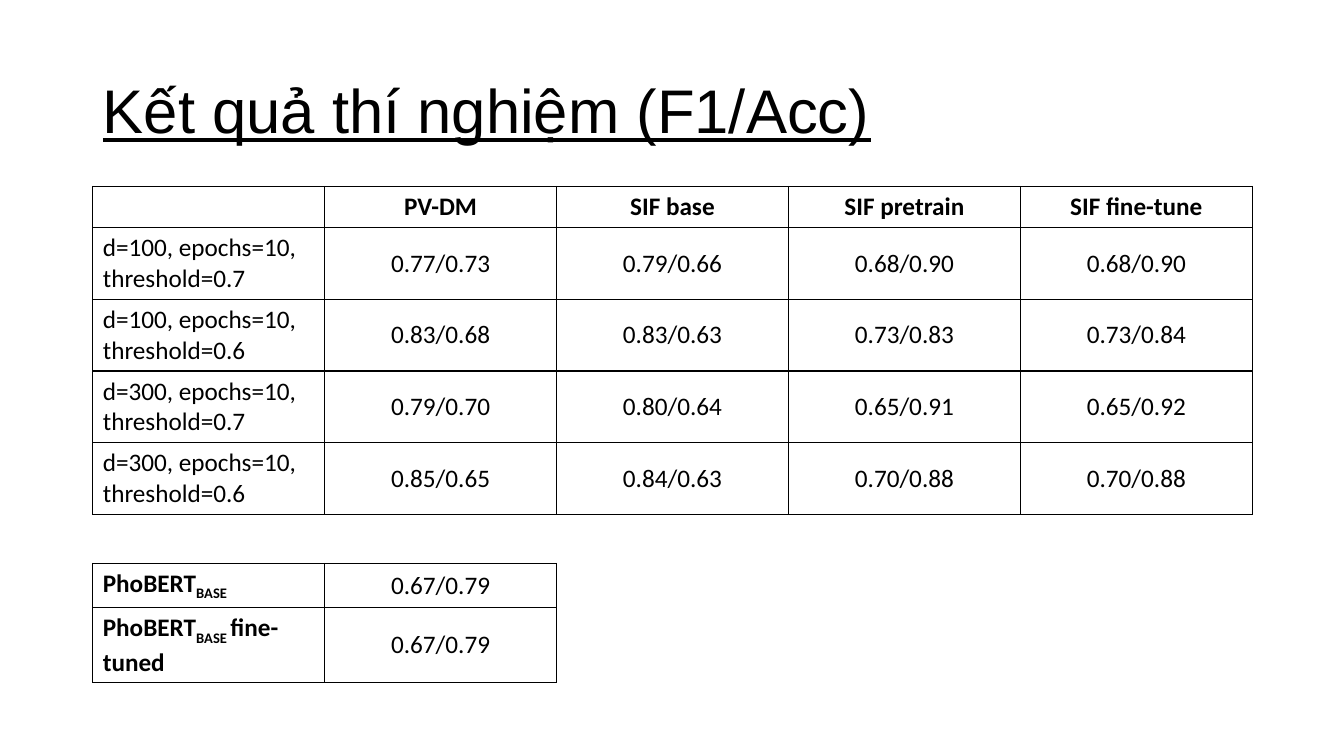
from lxml import etree
from pptx import Presentation
from pptx.dml.color import RGBColor
from pptx.enum.text import MSO_ANCHOR as Anchor, PP_ALIGN as Align
from pptx.oxml.ns import qn
from pptx.util import Inches, Pt

LEFT = 0.92
COLUMN_WIDTH = 2.3
ROW_HEIGHT = 0.41

SIF_RESULTS = [
    ["", "PV-DM", "SIF base", "SIF pretrain", "SIF fine-tune"],
    ["d=100, epochs=10, threshold=0.7", "0.77/0.73", "0.79/0.66", "0.68/0.90", "0.68/0.90"],
    ["d=100, epochs=10, threshold=0.6", "0.83/0.68", "0.83/0.63", "0.73/0.83", "0.73/0.84"],
    ["d=300, epochs=10, threshold=0.7", "0.79/0.70", "0.80/0.64", "0.65/0.91", "0.65/0.92"],
    ["d=300, epochs=10, threshold=0.6", "0.85/0.65", "0.84/0.63", "0.70/0.88", "0.70/0.88"],
]
# Every second part of a tuple is a subscript.
PHOBERT_RESULTS = [
    [("PhoBERT", "BASE"), "0.67/0.79"],
    [("PhoBERT", "BASE ", "fine-tuned"), "0.67/0.79"],
]


def color(hex_string):
    return RGBColor.from_string(hex_string)


class ResultSlide:
    ink = "000000"
    paper = "FFFFFF"
    title_font = "Arial"
    table_font = "Calibri"

    def __init__(self, presentation):
        self.slide = presentation.slides.add_slide(presentation.slide_layouts[5])

    def style(self, paragraph, font_name, size, bold=False):
        font = paragraph.font
        font.name, font.size, font.bold = font_name, Pt(size), bold
        font.color.rgb = color(self.ink)

    def add_title(self, text):
        title = self.slide.shapes.title
        title.left, title.top = Inches(LEFT), Inches(0.4)
        title.width, title.height = Inches(11.5), Inches(1.45)
        title.text_frame.text = text
        title.text_frame.vertical_anchor = Anchor.MIDDLE
        heading = title.text_frame.paragraphs[0]
        heading.alignment = Align.LEFT
        heading.line_spacing = 0.9
        self.style(heading, self.title_font, 44)
        heading.font.underline = True

    def add_results(self, rows, top, is_bold):
        """Draw a bordered table; is_bold(row, column) picks the bold cells."""
        column_count = len(rows[0])
        table = self.slide.shapes.add_table(
            len(rows), column_count, Inches(LEFT), Inches(top),
            Inches(COLUMN_WIDTH * column_count), Inches(ROW_HEIGHT * len(rows)),
        ).table
        table.first_row = table.horz_banding = False
        for row, values in enumerate(rows):
            table.rows[row].height = Inches(ROW_HEIGHT)
            for column, value in enumerate(values):
                cell = table.cell(row, column)
                self.add_borders(cell)
                cell.fill.solid()
                cell.fill.fore_color.rgb = color(self.paper)
                cell.vertical_anchor = Anchor.MIDDLE
                paragraph = cell.text_frame.paragraphs[0]
                paragraph.alignment = Align.CENTER if column else Align.LEFT
                self.style(paragraph, self.table_font, 18, is_bold(row, column))
                self.add_parts(paragraph, value)

    def add_parts(self, paragraph, value):
        parts = value if isinstance(value, tuple) else (value,)
        for index, part in enumerate(parts):
            if part:
                run = paragraph.add_run()
                run.text = part
                if index % 2:
                    run._r.get_or_add_rPr().set("baseline", "-25000")

    def add_borders(self, cell):
        properties = cell._tc.get_or_add_tcPr()
        for side in ("lnL", "lnR", "lnT", "lnB"):
            line = etree.SubElement(properties, qn(f"a:{side}"), w=str(Pt(1)))
            fill = etree.SubElement(line, qn("a:solidFill"))
            etree.SubElement(fill, qn("a:srgbClr"), val=self.ink)


def main():
    presentation = Presentation()
    presentation.slide_width, presentation.slide_height = Inches(13.33), Inches(7.5)
    results = ResultSlide(presentation)
    results.add_title("Kết quả thí nghiệm (F1/Acc)")
    results.add_results(SIF_RESULTS, 1.85, lambda row, column: row == 0)
    results.add_results(PHOBERT_RESULTS, 5.59, lambda row, column: column == 0)
    presentation.save("out.pptx")


if __name__ == "__main__":
    main()
